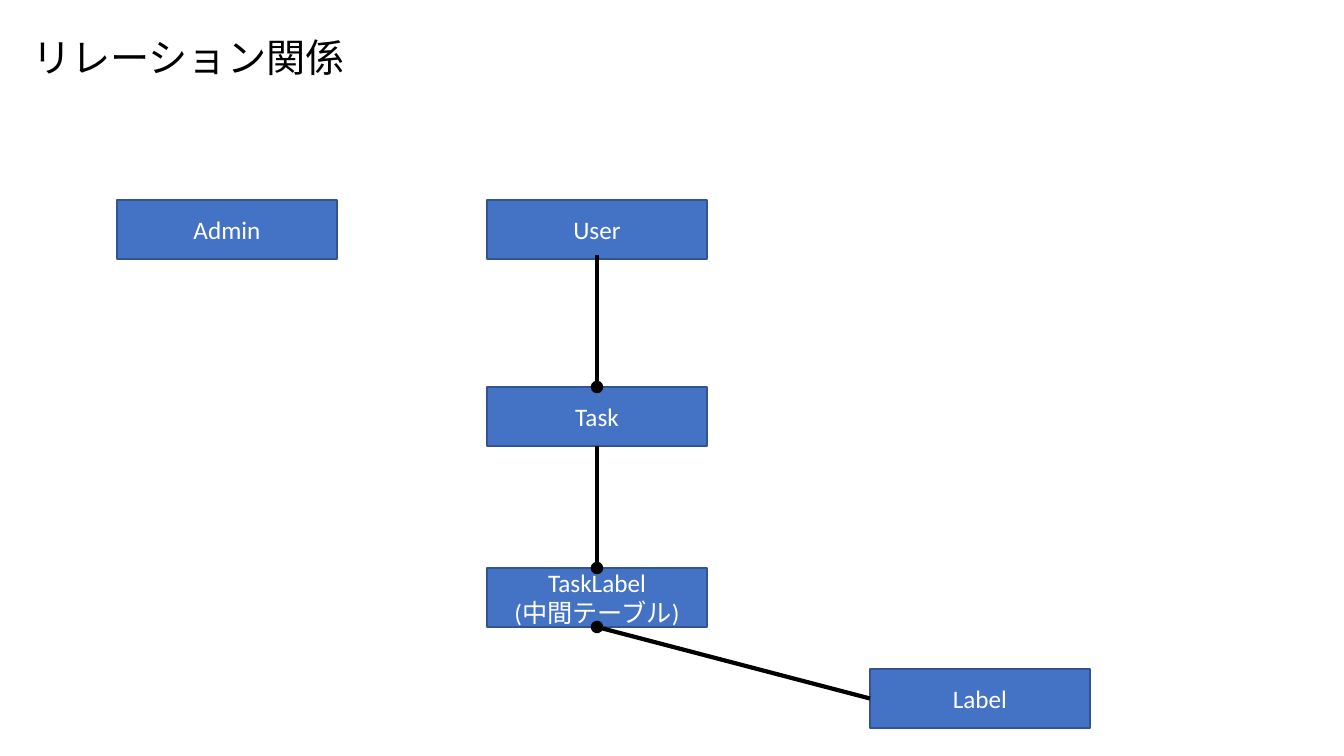
from pptx import Presentation
from pptx.dml.color import RGBColor
from pptx.enum.shapes import MSO_CONNECTOR, MSO_SHAPE
from pptx.enum.text import MSO_ANCHOR, PP_ALIGN
from pptx.oxml.ns import qn
from pptx.util import Emu, Pt
from lxml.etree import SubElement

FONT = "Calibri"
WIDE, HIGH = 220, 59  # entity box


def px(n):
    return Emu(round(n * 914400 / 100.8))


def color(code):
    return RGBColor.from_string(code)


def style(frame, size, code, align):
    for par in frame.paragraphs:
        par.alignment = align
        for run in par.runs:
            run.font.name = FONT
            run.font.size = Pt(size)
            run.font.color.rgb = color(code)


def add_title(slide, text, left, top, width, height):
    title = slide.shapes.title
    title.left, title.top = px(left), px(top)
    title.width, title.height = px(width), px(height)
    frame = title.text_frame
    frame.text = text
    frame.word_wrap = False
    frame.vertical_anchor = MSO_ANCHOR.TOP
    style(frame, 28, "000000", PP_ALIGN.LEFT)


def add_box(slide, text, left, top):
    box = slide.shapes.add_shape(
        MSO_SHAPE.RECTANGLE, px(left), px(top), px(WIDE), px(HIGH))
    box.shadow.inherit = False
    box.fill.solid()
    box.fill.fore_color.rgb = color("4472C4")
    box.line.color.rgb = color("325491")
    box.line.width = Pt(1)
    box.text_frame.text = text
    box.text_frame.vertical_anchor = MSO_ANCHOR.MIDDLE
    style(box.text_frame, 18, "FFFFFF", PP_ALIGN.CENTER)


def add_link(slide, start, end):
    """Line with a dot at its end, the 'many' side."""
    ends = [px(n) for n in (*start, *end)]
    link = slide.shapes.add_connector(MSO_CONNECTOR.STRAIGHT, *ends)
    link.line.color.rgb = color("000000")
    link.line.width = Pt(3)
    SubElement(link.line._get_or_add_ln(), qn("a:tailEnd"), type="oval")
    SubElement(link._element.spPr, qn("a:effectLst"))


def add_graph(slide, left, top):
    mid, right = left + 370, left + 753
    task, join, label = top + 187, top + 368, top + 469
    axis = mid + WIDE / 2

    # Entities
    for text, x, y in (
        ("User", mid, top),
        ("Admin", left, top),
        ("Task", mid, task),
        ("TaskLabel\n(中間テーブル)", mid, join),
        ("Label", right, label),
    ):
        add_box(slide, text, x, y)

    # Relations
    add_link(slide, (right, label + HIGH / 2), (axis, join + HIGH))
    add_link(slide, (axis, top + 55), (axis, task))
    add_link(slide, (axis, task + HIGH), (axis, join))


deck = Presentation()
deck.slide_width, deck.slide_height = px(1344), px(756)
page = deck.slides.add_slide(deck.slide_layouts[5])
add_title(page, "リレーション関係", 22, 28, 355, 57)
add_graph(page, 117, 200)
deck.save("out.pptx")
